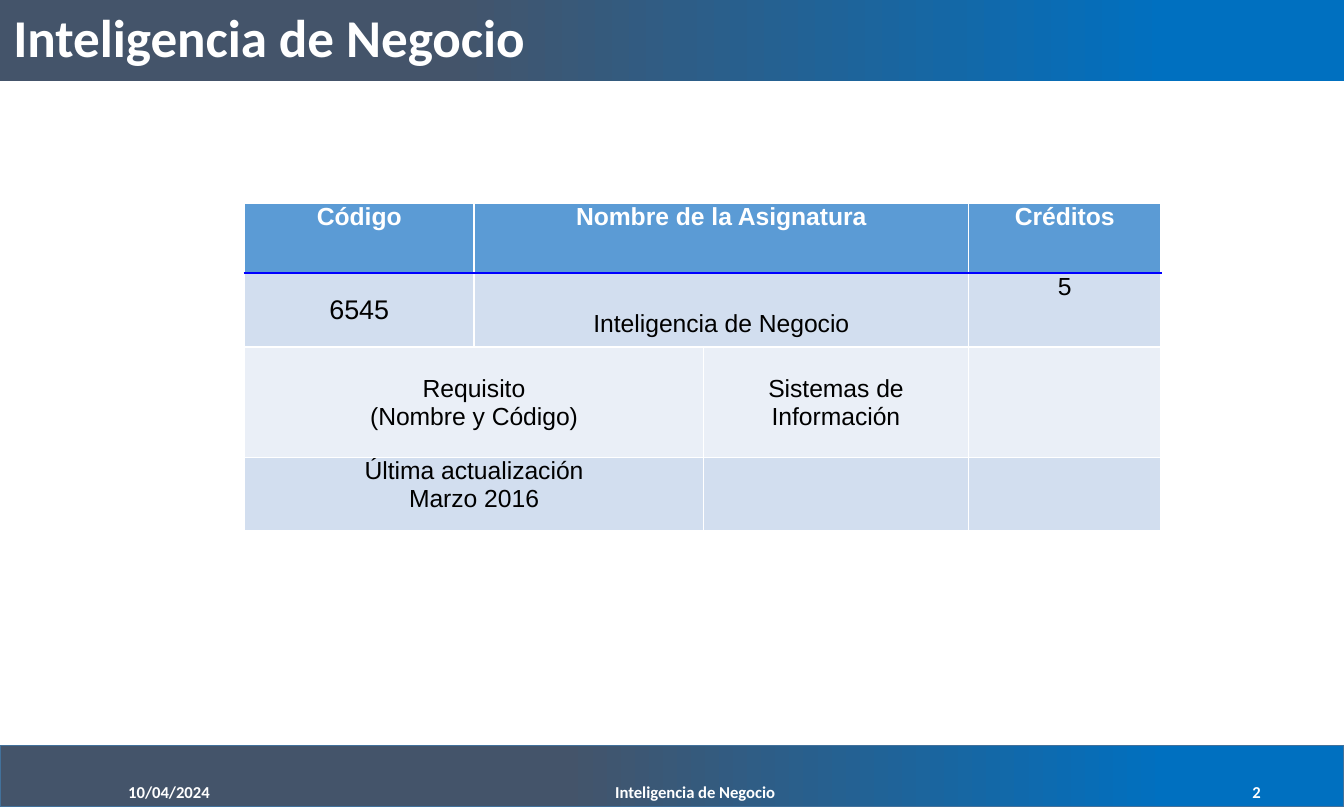
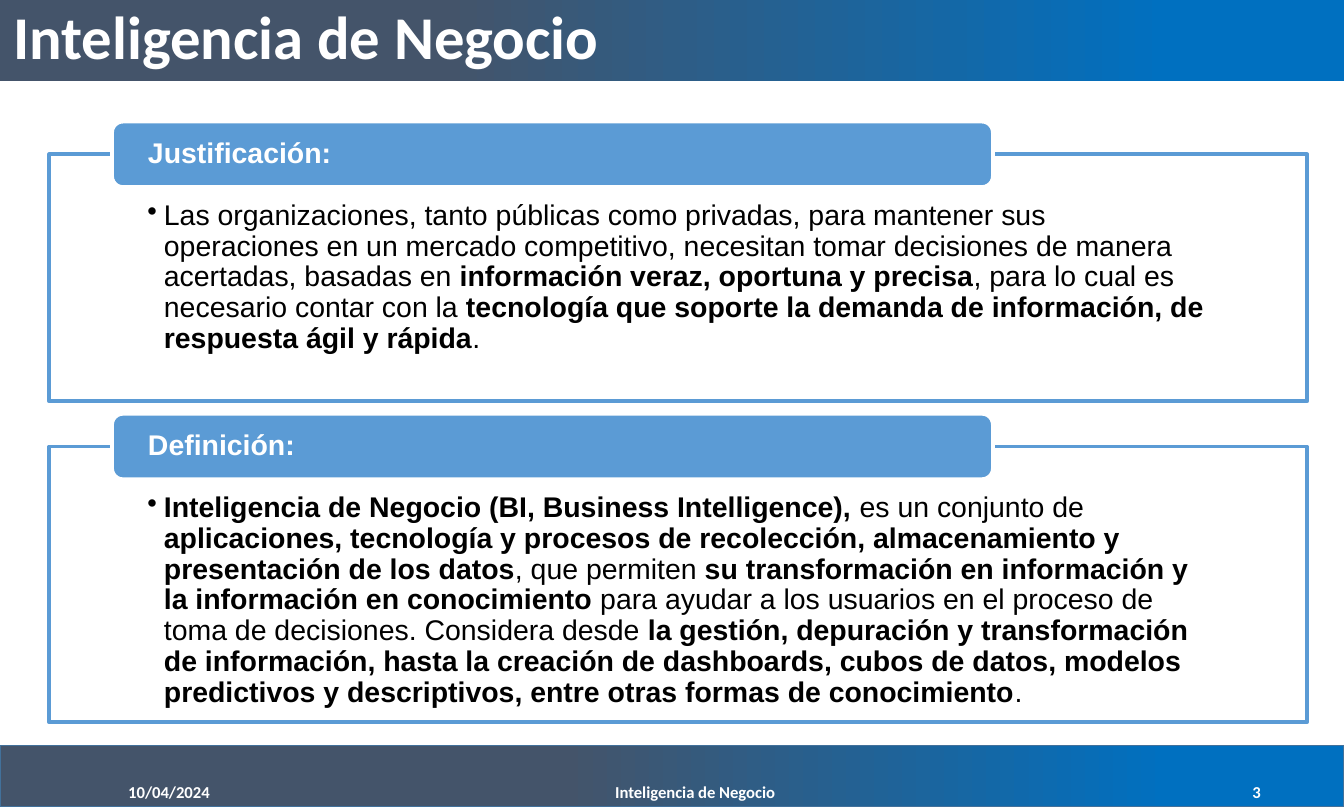
from copy import deepcopy
from dataclasses import dataclass

from lxml import etree
from pptx import Presentation
from pptx.dml.color import RGBColor
from pptx.enum.shapes import MSO_SHAPE
from pptx.enum.text import MSO_ANCHOR, PP_ALIGN
from pptx.oxml.ns import qn
from pptx.util import Inches, Pt

RECT, ROUND_RECT = MSO_SHAPE.RECTANGLE, MSO_SHAPE.ROUNDED_RECTANGLE
LEFT, CENTER, RIGHT = PP_ALIGN.LEFT, PP_ALIGN.CENTER, PP_ALIGN.RIGHT
TOP, MIDDLE = MSO_ANCHOR.TOP, MSO_ANCHOR.MIDDLE


@dataclass(frozen=True)
class Theme:
    slate: str = "44546A"
    blue: str = "0070C0"
    accent: str = "5B9BD5"
    bar_line: str = "42719B"
    header_rule: str = "0000FF"
    band_dark: str = "D2DEEF"
    band_light: str = "EAEFF7"
    white: str = "FFFFFF"
    black: str = "000000"
    heading_font: str = "Calibri"
    body_font: str = "Arial"
    footer_size: float = 8.8
    table_size: float = 13
    code_size: float = 14.2
    body_size: float = 15


T = Theme()
WIDTH, HEIGHT = 9.84, 5.91
COURSE = "Inteligencia de Negocio"
DATE = "10/04/2024"

COLUMNS = [1.68, 1.68, 1.94, 1.41]
ROWS = [0.51, 0.54, 0.81, 0.54]
ROW_FILLS = [T.accent, T.band_dark, T.band_light, T.band_dark]
LINE_DROP = 0.21  # height of one line of table text

# Runs are (text, bold)
PANELS = [
    (1.13, 1.81, "Justificación:", [
        ("Las organizaciones, tanto públicas como privadas, para mantener sus "
         "operaciones en un mercado competitivo, necesitan tomar decisiones de "
         "manera acertadas, basadas en ", False),
        ("información veraz, oportuna y precisa", True),
        (", para lo cual es necesario contar con la ", False),
        ("tecnología que soporte la demanda de información, de respuesta ágil "
         "y rápida", True),
        (".", False),
    ]),
    (3.27, 2.02, "Definición:", [
        ("Inteligencia de Negocio (BI, Business Intelligence), ", True),
        ("es un conjunto de ", False),
        ("aplicaciones, tecnología y procesos de recolección, almacenamiento y "
         "presentación de los datos", True),
        (", que permiten ", False),
        ("su transformación en información y la información en conocimiento",
         True),
        (" para ayudar a los usuarios en el proceso de toma de decisiones. "
         "Considera desde ", False),
        ("la gestión, depuración y transformación de información, hasta la "
         "creación de dashboards, cubos de datos, modelos predictivos y "
         "descriptivos, entre otras formas de conocimiento", True),
        (".", False),
    ]),
]


def rgb(color):
    return RGBColor.from_string(color)


def add_run(p, text, size, color, bold=False, font=T.body_font):
    r = p.add_run()
    r.text = text
    r.font.name, r.font.size, r.font.bold = font, Pt(size), bold
    r.font.color.rgb = rgb(color)
    return r


def set_frame(tf, anchor, left=0.1, top=0.05, right=0.1, bottom=0.05):
    tf.word_wrap = True
    tf.vertical_anchor = anchor
    tf.margin_left, tf.margin_right = Inches(left), Inches(right)
    tf.margin_top, tf.margin_bottom = Inches(top), Inches(bottom)


def add_box(slide, kind, left, top, width, height, fill=None, line=None,
            line_width=1):
    s = slide.shapes.add_shape(kind, Inches(left), Inches(top),
                               Inches(width), Inches(height))
    s.shadow.inherit = False
    if fill:
        s.fill.solid()
        s.fill.fore_color.rgb = rgb(fill)
    if line:
        s.line.color.rgb = rgb(line)
        s.line.width = Pt(line_width)
    else:
        s.line.fill.background()
    return s


def add_bar(slide, top, height, slate_end, line=None):
    """Full-width band, slate up to slate_end and then fading to blue."""
    s = add_box(slide, RECT, 0, top, WIDTH, height, line=line)
    s.fill.gradient()
    s.fill.gradient_angle = 0
    stops = s._element.spPr.find(".//" + qn("a:gsLst"))
    for stop in list(stops):
        stops.append(deepcopy(stop))
    places = [(0, T.slate), (slate_end, T.slate), (0.87, T.blue), (1, T.blue)]
    for stop, (position, color) in zip(s.fill.gradient_stops, places):
        stop.position = position
        stop.color.rgb = rgb(color)
    return s


def add_title(slide, size):
    tf = add_bar(slide, 0, 0.59, 0.33).text_frame
    set_frame(tf, MIDDLE)
    p = tf.paragraphs[0]
    p.alignment, p.line_spacing = LEFT, 0.9
    add_run(p, COURSE, size, T.white, True, T.heading_font)


def make_slide_number(r):
    """Turn a run into a slide number field."""
    field = r._r
    field.tag = qn("a:fld")
    field.set("id", "{B6F15528-21DE-4FAA-801E-634DDDAF4B2B}")
    field.set("type", "slidenum")


def add_footer(slide, number):
    add_bar(slide, 5.46, 0.45, 0.42, T.bar_line)
    items = [(0.84, 2.21, DATE, LEFT), (3.43, 3.32, COURSE, CENTER),
             (7.12, 2.21, str(number), RIGHT)]
    for left, width, text, align in items:
        s = slide.shapes.add_textbox(Inches(left), Inches(5.64),
                                     Inches(width), Inches(0.31))
        set_frame(s.text_frame, MIDDLE)
        p = s.text_frame.paragraphs[0]
        p.alignment = align
        r = add_run(p, text, T.footer_size, T.white, True, T.heading_font)
    make_slide_number(r)


def add_slide(prs, number, title_size):
    slide = prs.slides.add_slide(prs.slide_layouts[6])
    add_footer(slide, number)
    add_title(slide, title_size)
    return slide


def set_borders(cell, **colors):
    """Draw 1 pt sides; white unless a colour is given for L, R, T or B."""
    tc_pr = cell._tc.get_or_add_tcPr()
    for side in "LRTB":
        ln = etree.SubElement(tc_pr, qn("a:ln" + side), w=str(Pt(1)))
        fill = etree.SubElement(ln, qn("a:solidFill"))
        etree.SubElement(fill, qn("a:srgbClr"), val=colors.get(side, T.white))


def write_cell(cell, lines, size=T.table_size, color=T.black, bold=False,
               anchor=TOP, drop=0):
    tf = cell.text_frame
    cell.vertical_anchor = anchor
    cell.margin_left = cell.margin_right = Inches(0.04)
    cell.margin_top, cell.margin_bottom = Inches(drop), 0
    for i, line in enumerate(lines):
        p = tf.add_paragraph() if i else tf.paragraphs[0]
        p.alignment = CENTER
        add_run(p, line, size, color, bold)


def add_course_table(slide):
    table = slide.shapes.add_table(
        len(ROWS), len(COLUMNS), Inches(1.79), Inches(1.49),
        Inches(sum(COLUMNS)), Inches(sum(ROWS))).table
    table.horz_banding = False
    for column, width in zip(table.columns, COLUMNS):
        column.width = Inches(width)
    for i, (row, height) in enumerate(zip(table.rows, ROWS)):
        row.height = Inches(height)
        rule = {0: {"B": T.header_rule}, 1: {"T": T.header_rule}}.get(i, {})
        for cell in row.cells:
            set_borders(cell, **rule)
            cell.fill.solid()
            cell.fill.fore_color.rgb = rgb(ROW_FILLS[i])
    for i, first in enumerate([1, 1, 0, 0]):
        table.cell(i, first).merge(table.cell(i, first + 1))

    headings = {0: "Código", 1: "Nombre de la Asignatura", 3: "Créditos"}
    for column, text in headings.items():
        write_cell(table.cell(0, column), [text], color=T.white, bold=True)
    write_cell(table.cell(1, 0), ["6545"], T.code_size, anchor=MIDDLE)
    write_cell(table.cell(1, 1), [COURSE], anchor=MIDDLE, drop=LINE_DROP)
    write_cell(table.cell(1, 3), ["5"])
    write_cell(table.cell(2, 0), ["Requisito", "(Nombre y Código)"],
               drop=LINE_DROP)
    write_cell(table.cell(2, 2), ["Sistemas de Información"], drop=LINE_DROP)
    write_cell(table.cell(3, 0), ["Última actualización", "Marzo 2016"])


def set_bullet(p, indent):
    p_pr = p._p.get_or_add_pPr()
    p_pr.set("marL", str(Inches(indent)))
    p_pr.set("indent", str(-Inches(indent)))
    color = etree.SubElement(p_pr, qn("a:buClr"))
    etree.SubElement(color, qn("a:srgbClr"), val=T.black)
    etree.SubElement(p_pr, qn("a:buChar"), char="•")


def add_panel(slide, top, height, heading, runs):
    """Outlined text box with a heading tab across its top edge."""
    s = add_box(slide, RECT, 0.36, top, 9.21, height, T.white, T.accent, 2)
    set_frame(s.text_frame, TOP, 0.72, 0.34, 0.72, 0.12)
    p = s.text_frame.paragraphs[0]
    p.alignment, p.line_spacing = LEFT, 0.9
    set_bullet(p, 0.12)
    for text, bold in runs:
        add_run(p, text, T.body_size, T.black, bold)

    tab = add_box(slide, ROUND_RECT, 0.82, top - 0.24, 6.45, 0.48,
                  T.accent, T.white, 2)
    set_frame(tab.text_frame, MIDDLE, 0.24, 0, 0.24, 0)
    p = tab.text_frame.paragraphs[0]
    p.alignment, p.line_spacing = LEFT, 0.9
    add_run(p, heading, T.body_size, T.white, True)


def main():
    prs = Presentation()
    prs.slide_width, prs.slide_height = Inches(WIDTH), Inches(HEIGHT)
    add_course_table(add_slide(prs, 2, 28))
    slide = add_slide(prs, 3, 32)
    for panel in PANELS:
        add_panel(slide, *panel)
    first = prs.element
    first.set("firstSlideNum", "2")
    prs.save("out.pptx")


if __name__ == "__main__":
    main()
